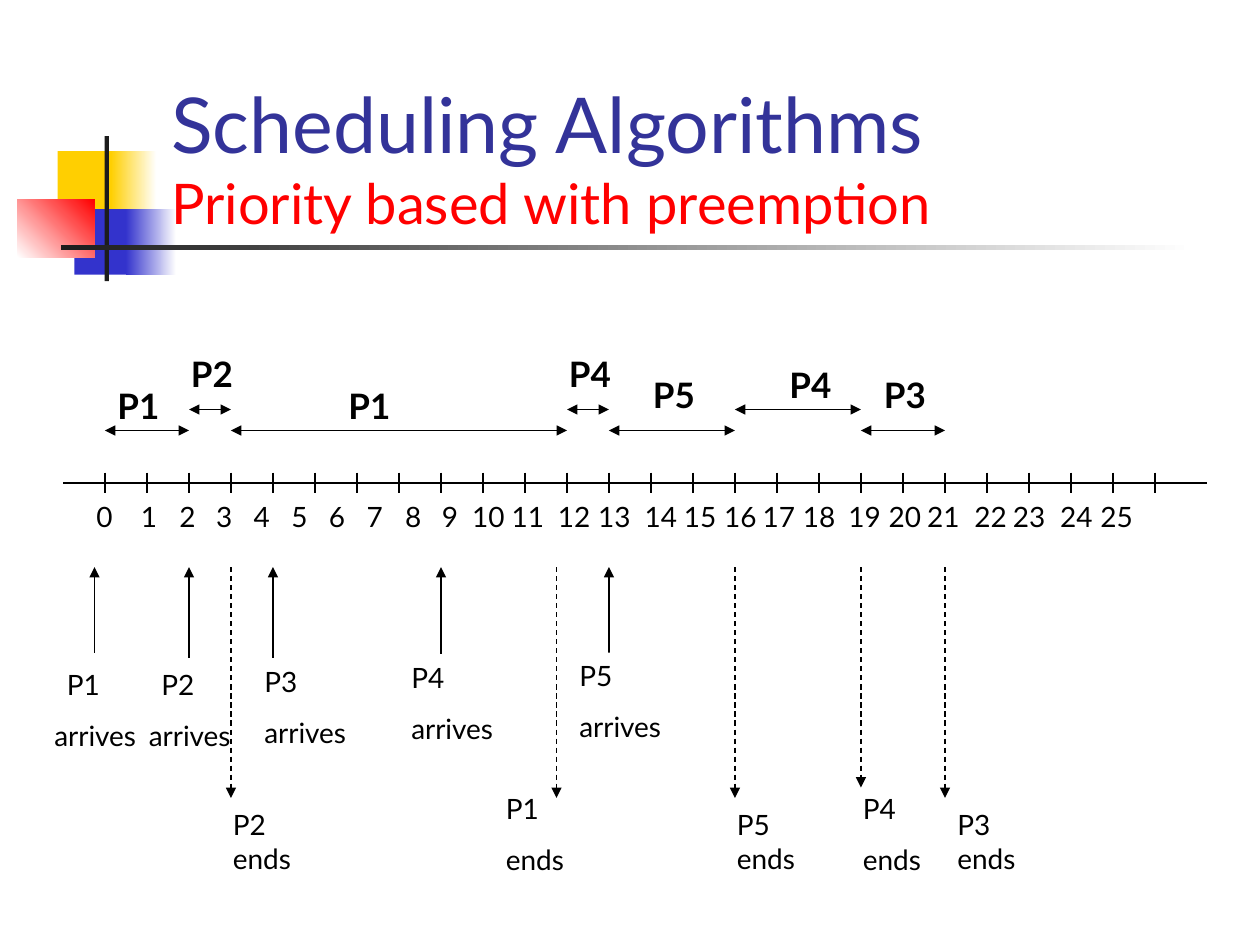
"""Timeline slide for priority scheduling with preemption."""
from lxml.etree import SubElement
from pptx import Presentation
from pptx.dml.color import RGBColor as Rgb
from pptx.enum.dml import MSO_LINE as Dash
from pptx.enum.shapes import MSO_CONNECTOR as Link, MSO_SHAPE as Preset
from pptx.enum.text import MSO_ANCHOR as Anchor, MSO_AUTO_SIZE as Fit
from pptx.oxml.ns import qn
from pptx.util import Pt

THEME = {
    "font": "Lato", "ink": "000000", "paper": "FFFFFF", "bar": "1C1C1C",
    "title": "333399", "accent": "FF0000", "yellow": "FFCF01", "blue": "3333CC",
    "title_size": 44, "subtitle_size": 32, "run_size": 20, "note_size": 16, "line": 0.75,
}
TITLE = [("Scheduling Algorithms", "title_size", "title"),
         ("Priority based with preemption", "subtitle_size", "accent")]
# left, top, width, height, colours, angle
ORNAMENTS = [
    (33, 86.4, 34.6, 37.4, ["yellow"], 0),
    (63.4, 86.4, 26, 37.4, ["yellow", "paper"], 0),
    (42.5, 119.5, 33, 37.4, ["blue"], 0),
    (72, 119.5, 28.8, 37.4, ["blue", "paper"], 0),
    (10, 113.8, 44, 33.2, ["paper", "accent"], 45),
    (59.8, 77.8, 2.5, 82.8, ["bar"], 0),
    (34.6, 140.2, 648, 2.5, ["bar", "paper"], 0),
]
ORIGIN, STEP, AXIS, TICK = 60, 24, 276, 6
LABEL_STOPS = [30, 52, 73, 94.5, 116, 137.5, 159, 181, 202, 224, 246.5, 273, 296,
               322.5, 345, 368, 390, 413, 439, 462, 484, 511, 533, 560, 583]
# process, start, end, arrow height, label left, top, width
RUNS = [
    ("P1", 0, 2, 246, 60, 216, 48), ("P2", 2, 3, 234, 102, 198, 42),
    ("P3", 18, 20, 246, 498, 210, 42), ("P4", 11, 12, 234, 318, 198, 42),
    ("P5", 12, 15, 246, 366, 210, 42), ("P1", 3, 11, 246, 192, 216, 48),
    ("P4", 15, 18, 234, 444, 204, 48),
]
# process, time, arrow foot, label left, top, width, indent, fill
ARRIVALS = [
    ("P1", -0.25, 373, 24, 378, 78, 7.2, None), ("P2", 2, 376, 78, 378, 66, 7.2, None),
    ("P3", 4, 376, 144, 376, 90, 0, None), ("P4", 8, 373.7, 228, 373.7, 78, 0, None),
    ("P5", 12, 373, 324, 373, 84, 0, "paper"),
]
# lines, time, arrow tip, label left, top, width
ENDINGS = [
    (["P1", "ends"], 10.75, 456, 282, 448.6, 48), (["P2 ends"], 3, 456, 126, 458, 60),
    (["P3 ends"], 20, 456, 540, 458, 48), (["P5 ends"], 15, 456, 414, 458, 60),
    (["P4", "ends"], 18, 450, 486, 448.6, 54),
]


def color(name):
    return Rgb.from_string(THEME[name])


def time_x(time):
    return ORIGIN + STEP * time


def add_span(para, text, size, ink="ink", bold=False):
    span = para.add_run()
    span.text = text
    span.font.name, span.font.size, span.font.bold = THEME["font"], Pt(THEME[size]), bold
    span.font.color.rgb = color(ink)


def add_box(page, left, top, width, height):
    box = page.shapes.add_textbox(Pt(left), Pt(top), Pt(width), Pt(height))
    box.text_frame.word_wrap = True
    return box


def add_label(page, left, top, width, height, lines, size, bold=False, indent=0):
    box = add_box(page, left, top, width, height)
    frame = box.text_frame
    frame.auto_size = Fit.SHAPE_TO_FIT_TEXT
    for index, text in enumerate(lines):
        para = frame.add_paragraph() if index else frame.paragraphs[0]
        para.space_before = Pt(THEME[size] * 0.625)
        if indent and not index:
            para._p.get_or_add_pPr().set("marL", str(Pt(indent)))
        add_span(para, text, size, bold=bold)
    return box


def add_line(page, start, end, heads=(), dashed=False):
    line = page.shapes.add_connector(Link.STRAIGHT, *map(Pt, start + end))
    line.line.color.rgb, line.line.width = color("ink"), Pt(THEME["line"])
    if dashed:
        line.line.dash_style = Dash.DASH
    for head in heads:
        SubElement(line.line._get_or_add_ln(), qn(f"a:{head}"), type="triangle")
    SubElement(line._element.spPr, qn("a:effectLst"))


def add_ornament(page, left, top, width, height, colors, angle):
    shape = page.shapes.add_shape(Preset.RECTANGLE, *map(Pt, (left, top, width, height)))
    shape.shadow.inherit = False
    shape.line.fill.background()
    if len(colors) == 1:
        shape.fill.solid()
        shape.fill.fore_color.rgb = color(colors[0])
        return
    shape.fill.gradient()
    shape.fill.gradient_angle = angle
    for stop, name in zip(shape.fill.gradient_stops, colors):
        stop.color.rgb = color(name)


def add_title(page):
    frame = add_box(page, 90.7, 48.2, 613.4, 90).text_frame
    frame.vertical_anchor = Anchor.BOTTOM
    para = frame.paragraphs[0]
    for index, (text, size, ink) in enumerate(TITLE):
        if index:
            para.add_line_break()
        add_span(para, text, size, ink)


def add_axis(page):
    add_line(page, (36, AXIS), (690, AXIS))
    for time in range(len(LABEL_STOPS) + 1):
        add_line(page, (time_x(time), AXIS - TICK), (time_x(time), AXIS + TICK))
    numbers = "\t".join(str(time) for time in range(len(LABEL_STOPS) + 1))
    box = add_label(page, 48, 282, 636, 26.6, [numbers], "note_size")
    tabs = SubElement(box.text_frame.paragraphs[0]._p.get_or_add_pPr(), qn("a:tabLst"))
    for stop in LABEL_STOPS:
        SubElement(tabs, qn("a:tab"), pos=str(Pt(stop)), algn="ctr")


def main():
    deck = Presentation()
    deck.slide_width, deck.slide_height = Pt(720), Pt(540)
    page = deck.slides.add_slide(deck.slide_layouts[6])
    for ornament in ORNAMENTS:
        add_ornament(page, *ornament)
    add_title(page)
    add_axis(page)
    for name, start, end, height, left, top, width in RUNS:
        add_line(page, (time_x(start), height), (time_x(end), height), ("headEnd", "tailEnd"))
        add_label(page, left, top, width, 31.5, [name], "run_size", bold=True)
    for name, time, foot, left, top, width, indent, fill in ARRIVALS:
        add_line(page, (time_x(time), foot), (time_x(time), 324), ("tailEnd",))
        box = add_label(page, left, top, width, 55.4, [name, "arrives"], "note_size", indent=indent)
        if fill:
            box.fill.solid()
            box.fill.fore_color.rgb = color(fill)
    for lines, time, tip, left, top, width in ENDINGS:
        add_line(page, (time_x(time), 324), (time_x(time), tip), ("tailEnd",), dashed=True)
        add_label(page, left, top, width, 55.4 if len(lines) > 1 else 46, lines, "note_size")
    deck.save("out.pptx")


if __name__ == "__main__":
    main()
